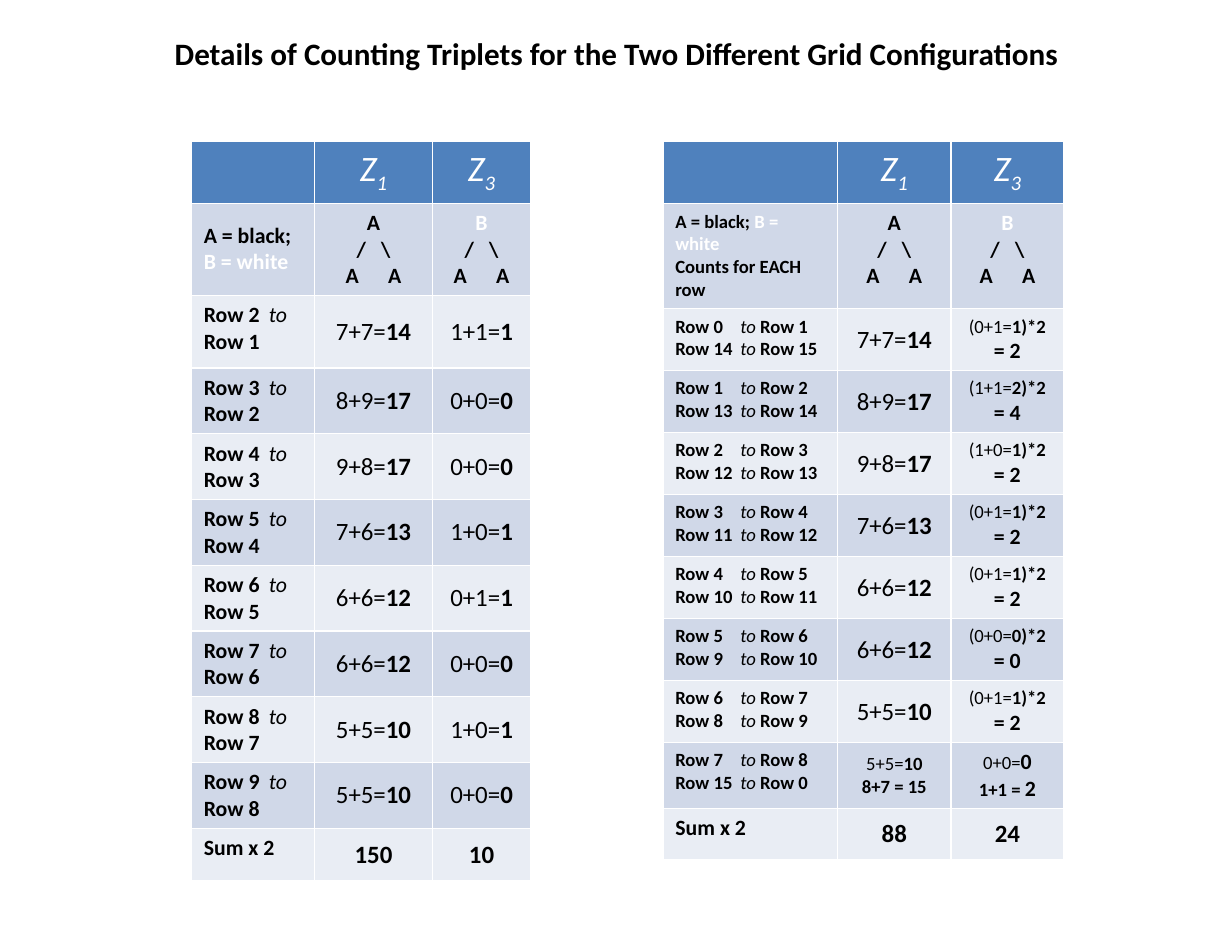
from dataclasses import dataclass

import pptx
import pptx.dml.color
import pptx.enum.text
import pptx.oxml
import pptx.oxml.ns
import pptx.util
from pptx.util import Inches

RGBColor = pptx.dml.color.RGBColor
Align = pptx.enum.text.PP_ALIGN
Anchor = pptx.enum.text.MSO_ANCHOR

BLACK = RGBColor(0x00, 0x00, 0x00)
WHITE = RGBColor(0xFF, 0xFF, 0xFF)
HEADER_BLUE = RGBColor(0x4F, 0x81, 0xBD)
BANDS = (RGBColor(0xD0, 0xD8, 0xE8), RGBColor(0xE9, 0xED, 0xF4))
FONT = "Calibri"
MARGIN_X, MARGIN_Y = 0.11, 0.06
ROW_TAB = ((0.58, "l"),)


@dataclass(frozen=True)
class Run:
    text: str
    size: float
    bold: bool = True
    italic: bool = False
    color: RGBColor = BLACK
    subscript: bool = False


@dataclass(frozen=True)
class Line:
    runs: tuple[Run, ...]
    align: Align = Align.CENTER
    tabs: tuple[tuple[float, str], ...] = ()


@dataclass(frozen=True)
class Cell:
    lines: tuple[Line, ...] = ()
    anchor: Anchor = Anchor.MIDDLE


@dataclass(frozen=True)
class CountTable:
    left: float
    top: float
    columns: tuple[float, ...]
    rows: tuple[float, ...]
    cells: list[list[Cell]]


def header_cell(index: str) -> Cell:
    runs = (Run("Z", 23, False, True, WHITE),
            Run(index, 23, False, True, WHITE, True))
    return Cell((Line(runs),), Anchor.TOP)


def tree_cell(top: str, color: RGBColor, width: float) -> Cell:
    """A triplet: one letter branching to two, spread around the column centre."""
    centre = width / 2 - MARGIN_X

    def pair(left: str, right: str, offset: float) -> Line:
        tabs = ((centre - offset, "ctr"), (centre + offset, "ctr"))
        return Line((Run(f"\t{left}\t{right}", 14),), Align.LEFT, tabs)

    return Cell((Line((Run(top, 14, color=color),)),
                 pair("/", "\\", 0.11), pair("A", "A", 0.19)), Anchor.TOP)


def row_line(start: int, end: int, size: float) -> Line:
    runs = (Run(f"Row {start}\t", size), Run("to ", size, False, True),
            Run(f"Row {end}", size))
    return Line(runs, Align.LEFT, ROW_TAB)


def sum_line(terms: str, total: str, size: float, total_size: float = 0) -> Line:
    return Line((Run(f"{terms}=", size, False), Run(total, total_size or size)))


def bold_line(text: str, size: float, align: Align = Align.CENTER) -> Line:
    return Line((Run(text, size),), align)


def total_row(first: str, second: str) -> list[Cell]:
    return [Cell((bold_line("Sum x 2", 14, Align.LEFT),), Anchor.TOP),
            Cell((bold_line(first, 16),)), Cell((bold_line(second, 16),))]


def top_rows(key: Cell, columns: tuple[float, ...]) -> list[list[Cell]]:
    return [[Cell(), header_cell("1"), header_cell("3")],
            [key, tree_cell("A", BLACK, columns[1]),
             tree_cell("B", WHITE, columns[2])]]


def key_line(size: float) -> Line:
    return Line((Run("A = black; ", size), Run("B = white", size, color=WHITE)),
                Align.LEFT)


Z1_COUNTS = (("7+7", "14"), ("8+9", "17"), ("9+8", "17"), ("7+6", "13"),
             ("6+6", "12"), ("6+6", "12"), ("5+5", "10"), ("5+5", "10"))
LEFT_Z3_COUNTS = (("1+1", "1"), ("0+0", "0"), ("0+0", "0"), ("1+0", "1"),
                  ("0+1", "1"), ("0+0", "0"), ("1+0", "1"), ("0+0", "0"))
RIGHT_Z3_COUNTS = (("0+1", 1), ("1+1", 2), ("1+0", 1), ("0+1", 1),
                   ("0+1", 1), ("0+0", 0), ("0+1", 1))


def left_table() -> CountTable:
    columns = (1.1, 1.05, 0.88)
    cells = top_rows(Cell((key_line(14),)), columns)
    for row, (z1, z3) in enumerate(zip(Z1_COUNTS, LEFT_Z3_COUNTS), start=2):
        cells.append([Cell((row_line(row, row - 1, 14),), Anchor.TOP),
                      Cell((sum_line(*z1, 16),)), Cell((sum_line(*z3, 16),))])
    cells.append(total_row("150", "10"))
    return CountTable(1.71, 1.26, columns,
                      (0.5, 0.81, 0.65, *[0.58] * 7, 0.47), cells)


def right_table() -> CountTable:
    columns = (1.56, 1.01, 1.01)
    key = Cell((key_line(12), bold_line("Counts for EACH row", 12, Align.LEFT)))
    cells = top_rows(key, columns)
    for row, (z1, (terms, count)) in enumerate(zip(Z1_COUNTS, RIGHT_Z3_COUNTS)):
        cells.append([
            Cell((row_line(row, row + 1, 12),
                  row_line(14 - row, 15 - row, 12)), Anchor.TOP),
            Cell((sum_line(*z1, 16),)),
            Cell((sum_line(f"({terms}", f"{count})*2", 12),
                  bold_line(f"= {count * 2}", 14)))])
    cells.append([
        Cell((row_line(7, 8, 12), row_line(15, 0, 12)), Anchor.TOP),
        Cell((sum_line("5+5", "10", 12), bold_line("8+7 = 15", 12))),
        Cell((sum_line("0+0", "0", 12, 14),
              Line((Run("1+1 = ", 12), Run("2", 14)))))])
    cells.append(total_row("88", "24"))
    return CountTable(5.92, 1.26, columns,
                      (0.5, 0.94, *[0.55] * 7, 0.58, 0.46), cells)


def add_tabs(paragraph, tabs: tuple[tuple[float, str], ...]) -> None:
    properties = paragraph._p.get_or_add_pPr()
    tab_list = pptx.oxml.parse_xml(
        f'<a:tabLst {pptx.oxml.ns.nsdecls("a")}>'
        + "".join(f'<a:tab pos="{int(Inches(position))}" algn="{align}"/>'
                  for position, align in tabs) + "</a:tabLst>")
    properties.append(tab_list)


def write_line(paragraph, line: Line) -> None:
    paragraph.alignment = line.align
    if line.tabs:
        add_tabs(paragraph, line.tabs)
    paragraph.font.name = FONT
    same_size = len({run.size for run in line.runs}) == 1
    if same_size:
        paragraph.font.size = pptx.util.Pt(line.runs[0].size)
    for item in line.runs:
        run = paragraph.add_run()
        run.text = item.text
        run.font.bold = item.bold
        run.font.italic = item.italic
        run.font.color.rgb = item.color
        if not same_size:
            run.font.size = pptx.util.Pt(item.size)
        if item.subscript:
            run.font._element.set("baseline", "-25000")


def draw_table(slide, spec: CountTable) -> None:
    table = slide.shapes.add_table(
        len(spec.rows), len(spec.columns), Inches(spec.left), Inches(spec.top),
        Inches(sum(spec.columns)), Inches(sum(spec.rows))).table
    for column, width in zip(table.columns, spec.columns):
        column.width = Inches(width)
    for row_index, (row, height) in enumerate(zip(table.rows, spec.rows)):
        row.height = Inches(height)
        fill = BANDS[(row_index - 1) % 2] if row_index else HEADER_BLUE
        for cell, content in zip(row.cells, spec.cells[row_index]):
            cell.fill.solid()
            cell.fill.fore_color.rgb = fill
            cell.margin_left = cell.margin_right = Inches(MARGIN_X)
            cell.margin_top = cell.margin_bottom = Inches(MARGIN_Y)
            cell.vertical_anchor = content.anchor
            frame = cell.text_frame
            for index, line in enumerate(content.lines):
                write_line(frame.add_paragraph() if index else frame.paragraphs[0],
                           line)


def add_title(slide, text: str) -> None:
    title = slide.shapes.title
    title.left, title.top = Inches(1.42), Inches(0.25)
    title.width, title.height = Inches(8.17), Inches(0.44)
    title.text_frame.word_wrap = False
    title.text_frame.auto_size = pptx.enum.text.MSO_AUTO_SIZE.SHAPE_TO_FIT_TEXT
    write_line(title.text_frame.paragraphs[0], bold_line(text, 20))


def main() -> None:
    presentation = pptx.Presentation()
    presentation.slide_width, presentation.slide_height = Inches(11), Inches(8.5)
    slide = presentation.slides.add_slide(presentation.slide_layouts[5])
    draw_table(slide, left_table())
    draw_table(slide, right_table())
    add_title(slide, "Details of Counting Triplets for the Two Different "
                     "Grid Configurations")
    presentation.save("out.pptx")


if __name__ == "__main__":
    main()
